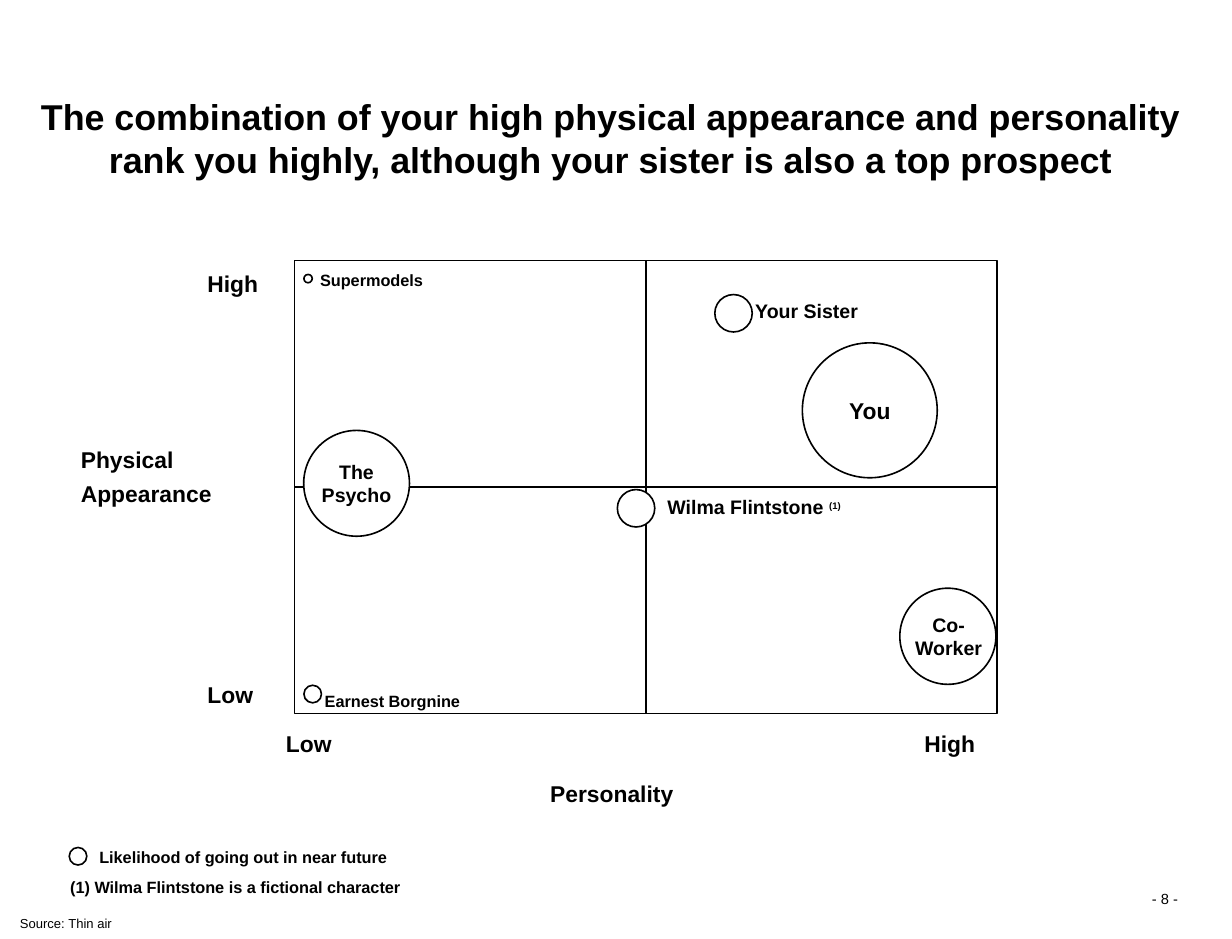
import pptx
import pptx.dml.color
import pptx.enum.shapes
import pptx.enum.text
import pptx.util
from lxml import etree

Cm = pptx.util.Cm
Pt = pptx.util.Pt
Align = pptx.enum.text.PP_ALIGN
Anchor = pptx.enum.text.MSO_ANCHOR
Shape = pptx.enum.shapes.MSO_SHAPE
BLACK = pptx.dml.color.RGBColor(0, 0, 0)
WHITE = pptx.dml.color.RGBColor(255, 255, 255)
A = "http://schemas.openxmlformats.org/drawingml/2006/main"


class SlideBuilder:
    """Holds the black-on-white style and the slide being built."""

    font = "Arial"
    line_width = Pt(1)

    def __init__(self, page):
        self.page = page

    def fill_frame(self, frame, lines, size, bold=True, align=Align.LEFT, gap=0, tab=None):
        frame.text = "\n".join(lines)
        for index, para in enumerate(frame.paragraphs):
            if tab:
                tabs = etree.SubElement(para._p.get_or_add_pPr(), f"{{{A}}}tabLst")
                etree.SubElement(tabs, f"{{{A}}}tab", pos=str(Cm(tab)), algn="l")
            para.alignment = align
            if index:
                para.space_before = Pt(gap)
            for span in para.runs:
                self.style_span(span, size, bold)

    def style_span(self, span, size, bold=True):
        span.font.name = self.font
        span.font.size = Pt(size)
        span.font.bold = bold
        span.font.color.rgb = BLACK

    def text(self, lines, left, top, width, height, size, wrap=True,
             anchor=Anchor.TOP, inset=True, **style):
        box = self.page.shapes.add_textbox(Cm(left), Cm(top), Cm(width), Cm(height))
        frame = box.text_frame
        frame.word_wrap = wrap
        frame.vertical_anchor = anchor
        if not inset:
            frame.margin_left = frame.margin_right = 0
            frame.margin_top = frame.margin_bottom = 0
        self.fill_frame(frame, lines, size, **style)
        return box

    def outline(self, kind, left, top, width, height, fill=None):
        shape = self.page.shapes.add_shape(kind, Cm(left), Cm(top), Cm(width), Cm(height))
        shape.shadow.inherit = False
        if fill is None:
            shape.fill.background()
        else:
            shape.fill.solid()
            shape.fill.fore_color.rgb = fill
        shape.line.color.rgb = BLACK
        shape.line.width = self.line_width
        return shape

    def bubble(self, x, y, diameter, lines=(), size=12, fill=None):
        circle = self.outline(Shape.OVAL, x - diameter / 2, y - diameter / 2,
                              diameter, diameter, fill)
        if lines:
            circle.text_frame.word_wrap = False
            circle.text_frame.vertical_anchor = Anchor.MIDDLE
            self.fill_frame(circle.text_frame, lines, size, align=Align.CENTER)

    def line(self, x1, y1, x2, y2):
        rule = self.page.shapes.add_connector(
            pptx.enum.shapes.MSO_CONNECTOR.STRAIGHT, Cm(x1), Cm(y1), Cm(x2), Cm(y2))
        rule.line.color.rgb = BLACK
        rule.line.width = self.line_width
        etree.SubElement(rule._element.spPr, f"{{{A}}}effectLst")


def main():
    deck = pptx.Presentation()
    deck.slide_width, deck.slide_height = Cm(26.67), Cm(20.32)
    page = deck.slides.add_slide(deck.slide_layouts[6])
    build = SlideBuilder(page)

    # Title
    build.text(["The combination of your high physical appearance and personality "
                "rank you highly, although your sister is also a top prospect"],
               0.2, 1.91, 26.04, 2.13, 22, anchor=Anchor.MIDDLE, align=Align.CENTER)

    # Matrix with its two middle lines
    left, top, width, height = 6.38, 5.64, 15.2, 9.8
    middle_x, middle_y = left + width / 2, top + height / 2
    build.outline(Shape.RECTANGLE, left, top, width, height)
    build.line(middle_x, top, middle_x, top + height)
    build.line(left, middle_y, left + width, middle_y)

    # Axis labels
    build.text(["High"], 4.24, 5.72, 2.11, 0.84, 14)
    build.text(["Low"], 4.24, 14.61, 2.11, 0.84, 14)
    build.text(["Low\tHigh"], 5.94, 15.67, 17.55, 0.84, 14, tab=13.82)
    build.text(["Physical", "Appearance"], 1.5, 9.53, 4.01, 1.55, 14, gap=3.5)
    build.text(["Personality"], 11.66, 16.74, 4.01, 0.84, 14)

    # Bubbles: centre, diameter
    build.bubble(6.67, 6.03, 0.18)
    build.bubble(6.77, 15.02, 0.38)
    build.bubble(18.83, 8.88, 2.92, ["You"], 14)
    build.bubble(7.72, 10.46, 2.29, ["The", "Psycho"], fill=WHITE)
    build.bubble(20.52, 13.77, 2.08)
    build.bubble(15.88, 6.78, 0.81)
    build.bubble(13.77, 11, 0.81, fill=WHITE)

    # Names beside or over the bubbles
    build.text(["Supermodels"], 6.68, 5.72, 3.18, 0.66, 10)
    build.text(["Earnest Borgnine"], 6.78, 14.83, 4.01, 0.66, 10)
    build.text(["Co-Worker"], 19.48, 13.13, 2.11, 1.27, 12, align=Align.CENTER)
    build.text(["Your Sister"], 16.1, 6.35, 4.01, 0.76, 12)
    wilma = build.text(["Wilma Flintstone "], 14.2, 10.59, 5.28, 0.76, 12)
    mark = wilma.text_frame.paragraphs[0].add_run()
    mark.text = "(1)"
    build.style_span(mark, 10)
    mark.font._element.set("baseline", "30000")

    # Legend, footnote, source and page number
    build.bubble(1.69, 18.53, 0.38)
    build.text(["Likelihood of going out in near future"], 1.9, 18.21, 10.57, 0.66, 10)
    build.text(["(1) Wilma Flintstone is a fictional character"], 1.27, 18.85, 10.57, 0.66, 10)
    build.text(["Source: Thin air"], 0.18, 19.69, 2.51, 0.58, 8, wrap=False, bold=False)
    build.text(["- 8 -"], 23.67, 19.25, 1.83, 0.38, 9, wrap=False, bold=False,
               anchor=Anchor.MIDDLE, inset=False, align=Align.RIGHT)

    deck.save("out.pptx")


if __name__ == "__main__":
    main()
